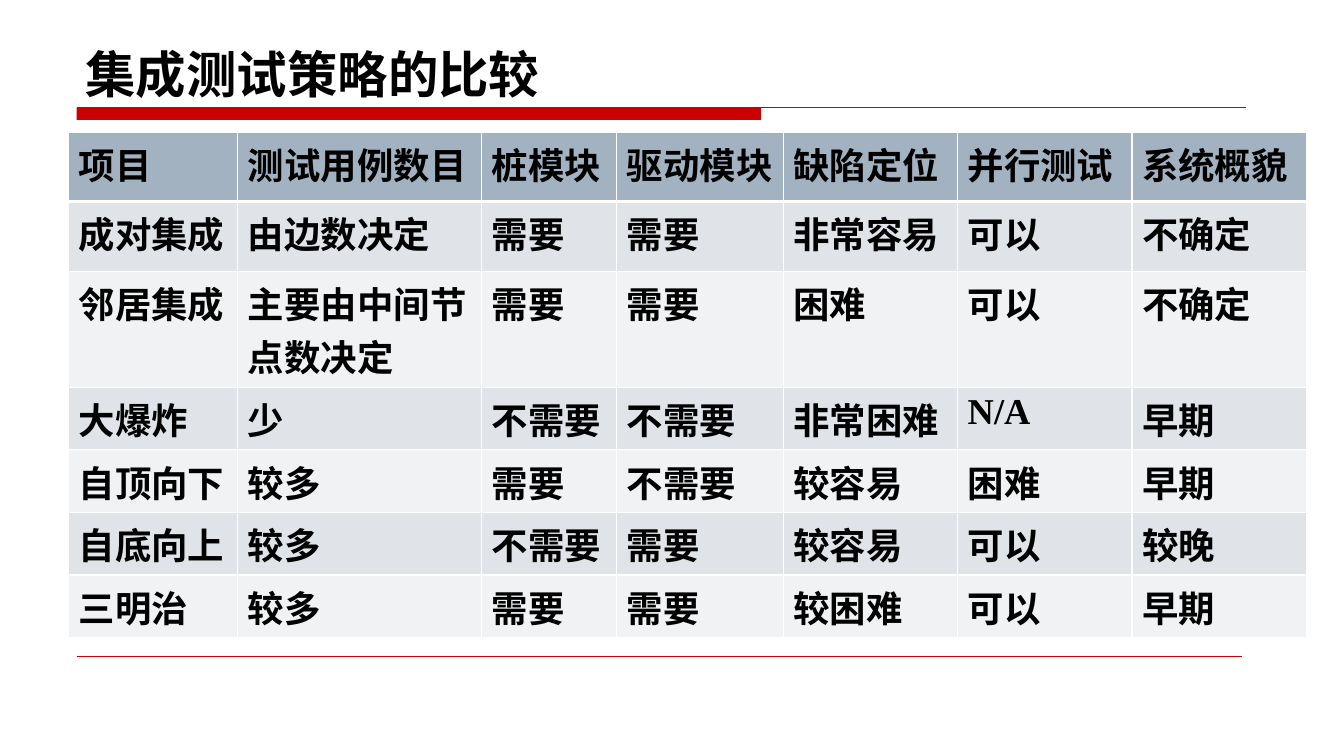
from lxml.etree import SubElement
from pptx import Presentation
from pptx.dml.color import RGBColor
from pptx.enum.shapes import MSO_CONNECTOR, MSO_SHAPE
from pptx.enum.text import MSO_ANCHOR
from pptx.oxml.ns import qn
from pptx.util import Inches, Pt

COLORS = {
    "text": "000000", "accent": "CC0000", "border": "FFFFFF",
    "header": "A3B2C1", "odd": "E0E4E9", "even": "F0F2F4",
}
CJK_FONT, LATIN_FONT = "Noto Sans CJK SC", "Times New Roman"


def rgb(name):
    return RGBColor.from_string(COLORS[name])


def write(tf, text, size=26, bold=True, color="text", latin=LATIN_FONT, ea=CJK_FONT):
    r = tf.paragraphs[0].add_run()
    r.text = text
    r.font.size, r.font.bold, r.font.name = Pt(size), bold, latin
    r.font.color.rgb = rgb(color)
    SubElement(r._r.get_or_add_rPr(), qn("a:ea"), typeface=ea)


def border(cell, top=1, bottom=1):
    tcPr = cell._tc.get_or_add_tcPr()
    for side, width in (("L", 1), ("R", 1), ("T", top), ("B", bottom)):
        ln = SubElement(tcPr, qn("a:ln" + side), w=str(Pt(width)))
        fill = SubElement(ln, qn("a:solidFill"))
        SubElement(fill, qn("a:srgbClr"), val=COLORS["border"])


class Deck:
    """Lengths are percentages of the slide's width and height."""

    def __init__(self, width, height):
        self.prs = Presentation()
        self.prs.slide_width, self.prs.slide_height = Inches(width), Inches(height)
        self.s = self.prs.slides.add_slide(self.prs.slide_layouts[6])

    def x(self, share):
        return round(self.prs.slide_width * share / 100)

    def y(self, share):
        return round(self.prs.slide_height * share / 100)

    def box(self, left, top, width, height):
        return self.x(left), self.y(top), self.x(width), self.y(height)

    def bar(self, *box, color="accent"):
        sp = self.s.shapes.add_shape(MSO_SHAPE.RECTANGLE, *self.box(*box))
        sp.shadow.inherit = False
        sp.fill.solid()
        sp.fill.fore_color.rgb = rgb(color)
        sp.line.fill.background()

    def rule(self, left, right, top, width, color="accent"):
        line = self.s.shapes.add_connector(
            MSO_CONNECTOR.STRAIGHT, self.x(left), self.y(top), self.x(right), self.y(top))
        line.line.color.rgb = rgb(color)
        line.line.width = Pt(width)
        SubElement(line._element.spPr, qn("a:effectLst"))

    def title(self, text, *box):
        tf = self.s.shapes.add_textbox(*self.box(*box)).text_frame
        tf.word_wrap = True
        tf.vertical_anchor = MSO_ANCHOR.BOTTOM
        write(tf, text, size=36, latin=CJK_FONT)

    def table(self, data, left, top, cols, rows):
        box = self.box(left, top, sum(cols), sum(rows))
        table = self.s.shapes.add_table(len(rows), len(cols), *box).table
        for col, share in zip(table.columns, cols):
            col.width = self.x(share)
        for row, share in zip(table.rows, rows):
            row.height = self.y(share)
        for i, values in enumerate(data):
            shade = "header" if i == 0 else "odd" if i % 2 else "even"
            for cell, value in zip(table.rows[i].cells, values):
                border(cell, top=3 if i == 1 else 1, bottom=3 if i == 0 else 1)
                cell.fill.solid()
                cell.fill.fore_color.rgb = rgb(shade)
                write(cell.text_frame, value)


STRATEGIES = [
    ["项目", "测试用例数目", "桩模块", "驱动模块", "缺陷定位", "并行测试", "系统概貌"],
    ["成对集成", "由边数决定", "需要", "需要", "非常容易", "可以", "不确定"],
    ["邻居集成", "主要由中间节点数决定", "需要", "需要", "困难", "可以", "不确定"],
    ["大爆炸", "少", "不需要", "不需要", "非常困难", "N/A", "早期"],
    ["自顶向下", "较多", "需要", "不需要", "较容易", "困难", "早期"],
    ["自底向上", "较多", "不需要", "需要", "较容易", "可以", "较晚"],
    ["三明治", "较多", "需要", "需要", "较困难", "可以", "早期"],
]

deck = Deck(13.33, 7.5)

# Red bar under the title, and the thin rules
deck.bar(5.7, 14.27, 50.93, 1.6)
deck.rule(5.7, 92.7, 14.27, width=0.75)
deck.rule(5.7, 92.42, 86.8, width=0.25)

# Title
deck.title("集成测试策略的比较", 5.63, 3.87, 87.5, 10.53)

# Comparison table; the third row holds two lines of text
deck.table(STRATEGIES, 5.1, 17.47,
           cols=[12.6, 18.15, 10.05, 12.38] + [12.98] * 3,
           rows=[9.2] * 2 + [15.35] + [8.28] * 4)

deck.prs.save("out.pptx")
